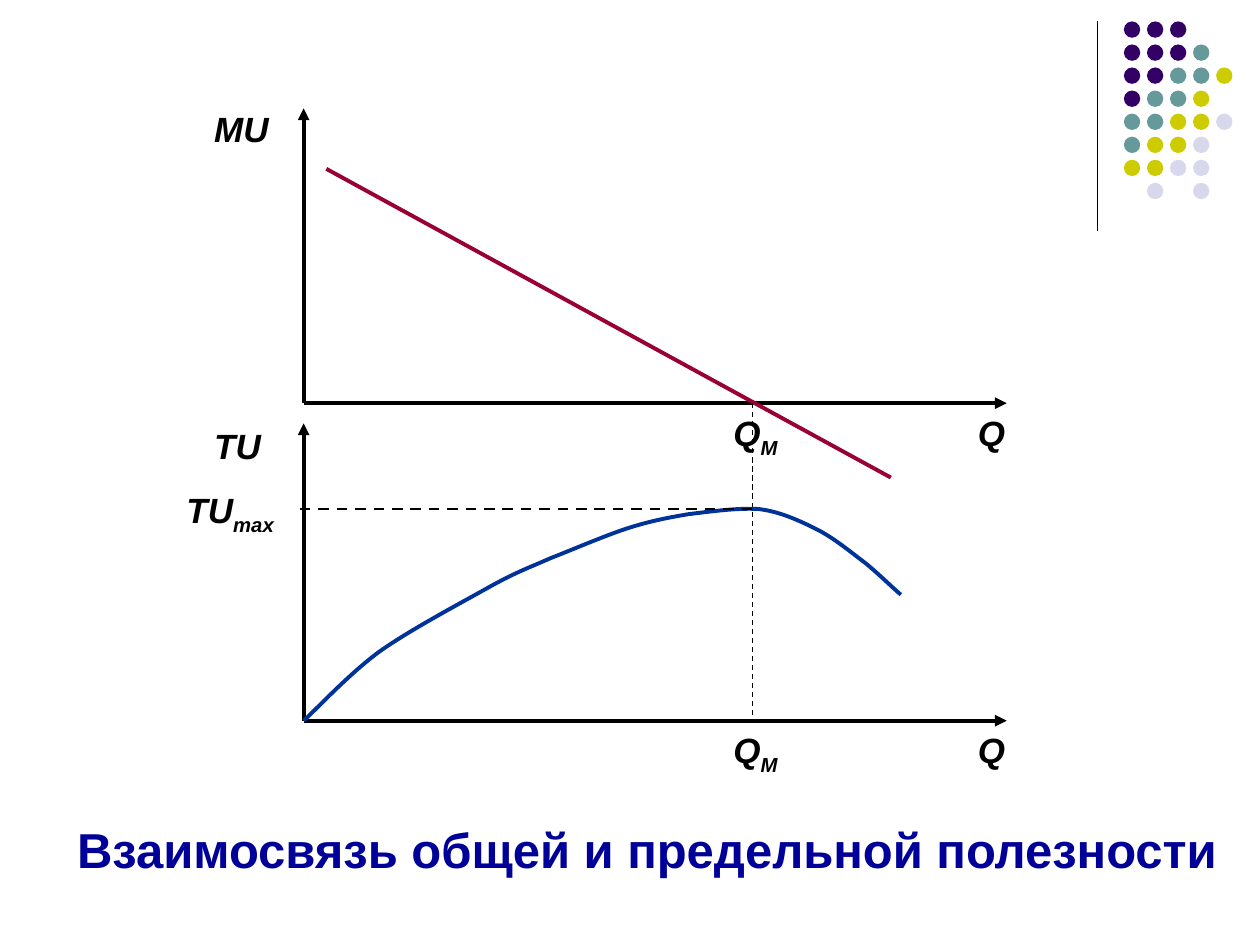
import pptx
import pptx.dml.color
import pptx.enum.dml
import pptx.enum.shapes
import pptx.enum.text
import pptx.oxml
import pptx.oxml.ns
import pptx.util

COLUMNS, ROWS = 100, 75
BLACK, RED, BLUE, NAVY = "000000", "990033", "003399", "000099"
DOT_COLOURS = {"P": "330066", "T": "669999", "Y": "CCCC00", "L": "D8D8EC"}
DOT_ROWS = ["PPP", "PPPT", "PPTTY", "PTTY", "TTYYL", "TYYL", "YYLL", " L L"]
DOT_SIZE, DOT_PITCH = 1.3, 1.83

AXIS_LEFT, AXIS_RIGHT = 24.1, 79.9
MARGINAL_BASE, TOTAL_BASE = 32, 57.2
OPTIMUM, TOTAL_MAX = 59.7, 40.4

# Start, then two control points and an end for each Bezier piece.
TOTAL_CURVE = [
    (24.1, 57.2),
    (25.1, 56.3), (27.6, 53.6), (30, 51.8),
    (32.5, 50), (36.7, 47.8), (39, 46.5),
    (41.2, 45.3), (41.9, 45.1), (43.7, 44.3),
    (45.5, 43.6), (47.8, 42.6), (49.6, 42),
    (51.4, 41.4), (52.9, 41.1), (54.7, 40.8),
    (56.4, 40.6), (58.5, 40.3), (60.2, 40.4),
    (61.9, 40.6), (63.4, 41.3), (64.8, 42),
    (66.2, 42.7), (67.5, 43.8), (68.7, 44.7),
    (69.8, 45.6), (70.9, 46.7), (71.5, 47.2),
]


def colour(hex_string):
    return pptx.dml.color.RGBColor.from_string(hex_string)


class SlideBuilder:
    """Draws on one slide; all positions are in grid columns and rows."""

    font_name = "Arial"

    def __init__(self, deck):
        self.slide = deck.slides.add_slide(deck.slide_layouts[6])
        self.column = deck.slide_width / COLUMNS
        self.row = deck.slide_height / ROWS

    def place(self, x, y):
        return round(x * self.column), round(y * self.row)

    def style_line(self, line, hex_string, width):
        line.color.rgb = colour(hex_string)
        line.width = pptx.util.Pt(width)

    def line(self, start, end, width, dashed=False, arrow=False):
        connector = self.slide.shapes.add_connector(
            pptx.enum.shapes.MSO_CONNECTOR.STRAIGHT, *self.place(*start), *self.place(*end))
        self.style_line(connector.line, BLACK, width)
        if dashed:
            connector.line.dash_style = pptx.enum.dml.MSO_LINE.DASH
        properties = connector.element.spPr
        if arrow:
            tail = pptx.oxml.ns.qn("a:tailEnd")
            outline = properties.find(pptx.oxml.ns.qn("a:ln"))
            outline.append(outline.makeelement(tail, {"type": "triangle"}))
        properties.append(properties.makeelement(pptx.oxml.ns.qn("a:effectLst"), {}))

    def dot(self, x, y, hex_string):
        dot = self.slide.shapes.add_shape(
            pptx.enum.shapes.MSO_SHAPE.OVAL,
            *self.place(x, y), *self.place(DOT_SIZE, DOT_SIZE))
        dot.shadow.inherit = False
        dot.fill.solid()
        dot.fill.fore_color.rgb = colour(hex_string)
        dot.line.fill.background()

    def graph(self, points, hex_string, curved=False):
        """Draw an open outline; a curved one takes its points as Bezier points."""
        start, *others = [self.place(*point) for point in points]
        builder = self.slide.shapes.build_freeform(*start)
        builder.add_line_segments(others, close=False)
        graph = builder.convert_to_shape()
        graph.shadow.inherit = False
        graph.fill.background()
        self.style_line(graph.line, hex_string, 2.25)
        if curved:
            self.bend(graph)

    def bend(self, graph):
        """Merge every three straight segments into one cubic Bezier piece."""
        segments = list(graph.element.iter(pptx.oxml.ns.qn("a:lnTo")))
        for index in range(0, len(segments), 3):
            first, *rest = segments[index:index + 3]
            piece = first.makeelement(pptx.oxml.ns.qn("a:cubicBezTo"), {})
            first.addprevious(piece)
            for segment in [first, *rest]:
                piece.append(segment[0])
                segment.getparent().remove(segment)

    def text(self, x, y, width, height, words, size, hex_string=BLACK, subscript=""):
        box = self.slide.shapes.add_textbox(*self.place(x, y), *self.place(width, height))
        frame = box.text_frame
        frame.word_wrap = True
        para = frame.paragraphs[0]
        para.font.name = self.font_name
        para.font.size = pptx.util.Pt(size)
        para.font.bold = True
        para.font.color.rgb = colour(hex_string)
        para.add_run().text = words
        if subscript:
            span = para.add_run()
            span.text = subscript
            span.font._element.set("baseline", "-25000")
        return frame

    def title(self, x, y, width, height, words):
        frame = self.text(x, y, width, height, words, 28, NAVY)
        frame.vertical_anchor = pptx.enum.text.MSO_ANCHOR.BOTTOM
        frame.paragraphs[0].alignment = pptx.enum.text.PP_ALIGN.CENTER

    def label(self, x, y, width, words, subscript=""):
        frame = self.text(x, y, width, 3.4, words, 20, subscript=subscript)
        frame.margin_left = frame.margin_right = pptx.util.Inches(0.02)
        frame.margin_top = frame.margin_bottom = pptx.util.Inches(0.01)
        frame.paragraphs[0].font.italic = True


def main():
    deck = pptx.Presentation()
    deck.slide_width = pptx.util.Inches(10)
    deck.slide_height = pptx.util.Inches(7.5)
    page = SlideBuilder(deck)

    page.line((87.1, 1.7), (87.1, 18.3), 0.75)
    for row, pattern in enumerate(DOT_ROWS):
        for column, key in enumerate(pattern):
            if key in DOT_COLOURS:
                page.dot(89.2 + column * DOT_PITCH, 1.7 + row * DOT_PITCH, DOT_COLOURS[key])

    page.title(2.7, 59.5, 97.3, 10.7, "Взаимосвязь общей и предельной полезности")

    for base, top in [(MARGINAL_BASE, 8.6), (TOTAL_BASE, 33.6)]:
        for end in [(AXIS_LEFT, top), (AXIS_RIGHT, base)]:
            page.line((AXIS_LEFT, base), end, 2.25, arrow=True)

    page.graph([(25.9, 13.4), (70.7, 37.9)], RED)
    page.line((OPTIMUM, MARGINAL_BASE), (OPTIMUM, TOTAL_BASE), 0.75, dashed=True)
    page.graph(TOTAL_CURVE, BLUE, curved=True)

    page.label(16.8, 8.4, 7.1, "МU")
    page.label(16.8, 33.6, 7.3, "ТU")
    for base in (MARGINAL_BASE, TOTAL_BASE):
        page.label(77.4, base + 0.55, 4.9, "Q")
        page.label(58, base + 0.55, 4.8, "Q", "M")

    page.line((OPTIMUM, TOTAL_MAX), (23.6, TOTAL_MAX), 1.5, dashed=True)
    page.label(14.6, 38.7, 10.3, "ТU", "max")

    deck.save("out.pptx")


if __name__ == "__main__":
    main()
